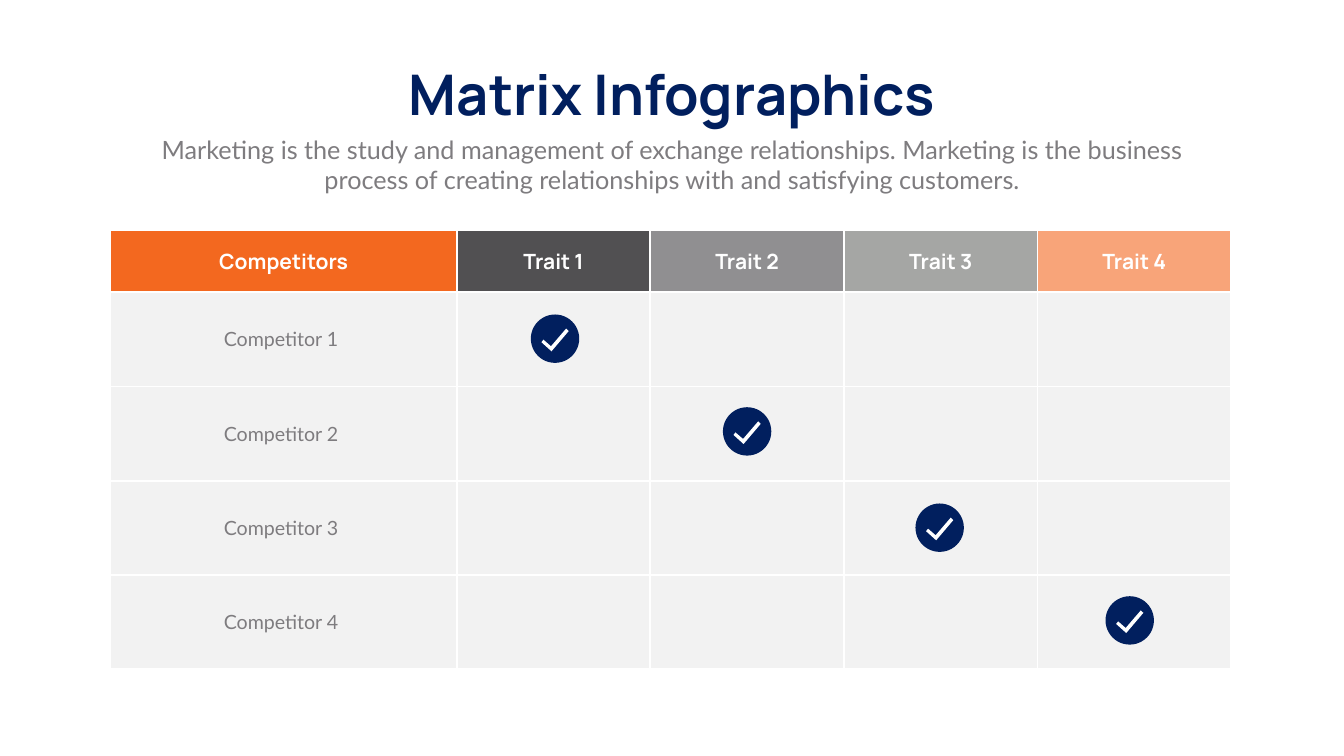
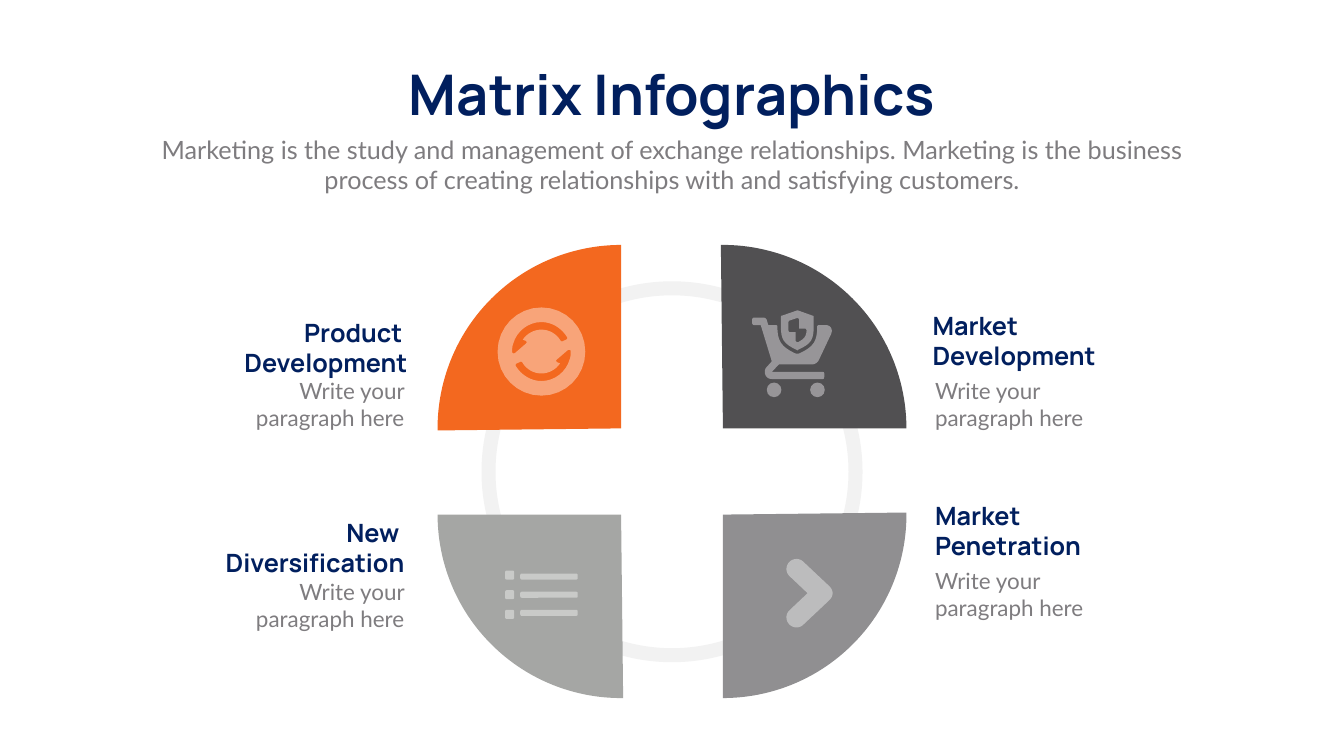
from itertools import product
from lxml.etree import SubElement
from pptx import Presentation
from pptx.dml.color import RGBColor
from pptx.enum.shapes import MSO_SHAPE
from pptx.enum.text import MSO_ANCHOR, MSO_AUTO_SIZE, PP_ALIGN
from pptx.oxml.ns import qn
from pptx.util import Inches, Pt

# Shared look
NAVY = RGBColor(0x01, 0x1F, 0x5E)
TEXT = RGBColor(0x7E, 0x7C, 0x7F)
WHITE = RGBColor(0xFF, 0xFF, 0xFF)
PALE = RGBColor(0xF2, 0xF2, 0xF2)
ORANGE = RGBColor(0xF3, 0x68, 0x1F)
PEACH = RGBColor(0xF8, 0xA4, 0x79)
DARK = RGBColor(0x51, 0x50, 0x52)
MID = RGBColor(0x90, 0x8F, 0x91)
LIGHT = RGBColor(0xA5, 0xA6, 0xA4)
CART = RGBColor(0x97, 0x95, 0x98)
LIST = RGBColor(0xC9, 0xCA, 0xC8)
ARROW = RGBColor(0xBC, 0xBC, 0xBD)
HEAD, BODY = "Manrope", "Lato"
LEFT, CENTER, RIGHT = PP_ALIGN.LEFT, PP_ALIGN.CENTER, PP_ALIGN.RIGHT

# Content
TITLE = "Matrix Infographics"
INTRO = ("Marketing is the study and management of exchange relationships. "
         "Marketing is the business process of creating relationships with "
         "and satisfying customers.")
TRAITS = [("Competitors", ORANGE), ("Trait 1", DARK), ("Trait 2", MID),
          ("Trait 3", LIGHT), ("Trait 4", PEACH)]
RIVALS = ["Competitor 1", "Competitor 2", "Competitor 3", "Competitor 4"]
CHECKS = [(10.53, 6.24), (14.34, 8.08), (18.16, 9.99), (21.93, 11.83)]
NOTE = "Write your paragraph here"
# Each part: heading lines, heading box, note left and top, alignment
PARTS = [
    (["Product ", "Development"], (4.51, 6.25, 3.67, 1.31), (4.48, 7.44), RIGHT),
    (["New ", "Diversification"], (4.23, 10.21, 3.89, 1.31), (4.48, 11.42), RIGHT),
    (["Market", "Development"], (18.4, 6.1, 3.67, 1.31), (18.45, 7.44), LEFT),
    (["Market", "Penetration"], (18.45, 9.88, 3.2, 1.31), (18.45, 11.21), LEFT),
]
# Each quarter: left, top, turn, colour
PIES = [(8.68, 4.86, 0, ORANGE), (10.7, 4.86, 90, DARK),
        (8.68, 6.57, 270, LIGHT), (10.7, 6.57, 180, MID)]
DISC = 7.28

# Icon outlines: M moves, L draws lines, C draws curves
TICK = "M .7 .28 L .75 .33 .41 .73 .21 .55 .25 .5 .4 .63"
ROUND = ("M 10.74 6.1 C 10.26 6.1 9.87 6.49 9.87 6.98 9.87 7.46 10.26 7.85 10.74 7.85 "
         "11.22 7.85 11.61 7.46 11.61 6.98 11.61 6.49 11.22 6.1 10.74 6.1")
TURN = ("M 10.22 7 C 10.21 7.01 10.2 7.01 10.19 7.01 10.17 7.01 10.16 7 10.16 6.98 "
        "10.16 6.93 10.16 6.89 10.17 6.85 L 10.18 6.82 "
        "C 10.25 6.57 10.48 6.39 10.74 6.39 10.95 6.39 11.14 6.51 11.25 6.69 "
        "11.26 6.71 11.25 6.73 11.23 6.74 L 11.16 6.77 "
        "C 11.15 6.78 11.13 6.77 11.12 6.76 11.04 6.62 10.89 6.54 10.74 6.54 "
        "10.59 6.54 10.45 6.62 10.37 6.74 L 10.42 6.76 "
        "C 10.43 6.76 10.44 6.77 10.45 6.79 10.45 6.8 10.44 6.81 10.43 6.82 L 10.22 7")
BASKET = ("M 16.38 6.45 L 16.25 6.45 C 16.23 6.45 16.21 6.46 16.21 6.48 "
          "16.21 6.77 16.14 6.88 15.86 7.01 15.83 7.02 15.8 7.02 15.77 7.01 "
          "15.5 6.88 15.42 6.77 15.42 6.48 15.42 6.46 15.41 6.45 15.39 6.45 "
          "L 15.24 6.45 15.21 6.35 C 15.2 6.32 15.17 6.3 15.14 6.3 L 14.96 6.3 "
          "C 14.94 6.3 14.92 6.32 14.92 6.34 L 14.92 6.41 "
          "C 14.92 6.43 14.94 6.45 14.96 6.45 L 15.09 6.45 15.31 7.17 15.21 7.28 "
          "C 15.17 7.32 15.16 7.38 15.18 7.43 15.2 7.49 15.25 7.52 15.31 7.52 "
          "L 16.32 7.52 C 16.34 7.52 16.35 7.5 16.35 7.48 L 16.35 7.41 "
          "C 16.35 7.39 16.34 7.38 16.32 7.38 L 15.31 7.38 15.45 7.23 16.11 7.23 "
          "C 16.16 7.23 16.21 7.2 16.24 7.15 L 16.49 6.62 "
          "C 16.49 6.61 16.5 6.59 16.5 6.57 L 16.5 6.56 "
          "C 16.5 6.5 16.45 6.45 16.38 6.45")
SHIELD = ("M 15.8 6.94 C 15.81 6.95 15.81 6.95 15.82 6.95 15.82 6.95 15.83 6.95 15.83 6.94 "
          "16.1 6.82 16.14 6.73 16.14 6.48 L 16.14 6.29 "
          "C 16.14 6.27 16.13 6.26 16.11 6.26 L 15.83 6.16 "
          "C 15.82 6.16 15.81 6.16 15.81 6.16 L 15.52 6.26 "
          "C 15.5 6.26 15.49 6.27 15.49 6.29 L 15.49 6.48 "
          "C 15.49 6.73 15.54 6.82 15.8 6.94 "
          "M 15.64 6.39 C 15.64 6.38 15.65 6.36 15.66 6.36 L 15.81 6.31 "
          "C 15.82 6.31 15.83 6.31 15.84 6.32 15.85 6.33 15.85 6.34 15.85 6.35 "
          "L 15.85 6.52 15.96 6.52 C 15.97 6.52 15.98 6.52 15.99 6.53 "
          "15.99 6.54 16 6.55 16 6.56 15.99 6.67 15.96 6.72 15.83 6.79 "
          "15.83 6.79 15.82 6.79 15.82 6.79 15.81 6.79 15.8 6.79 15.8 6.78 "
          "15.79 6.78 15.78 6.77 15.78 6.75 L 15.78 6.59 15.67 6.59 "
          "C 15.65 6.59 15.64 6.57 15.64 6.55 L 15.64 6.39")
NEXT = ("M 16.02 11.77 L 15.66 12.11 C 15.62 12.15 15.6 12.2 15.6 12.25 "
        "15.6 12.36 15.69 12.45 15.8 12.45 15.85 12.45 15.9 12.43 15.94 12.39 "
        "L 16.45 11.91 C 16.48 11.88 16.5 11.85 16.51 11.81 "
        "16.52 11.78 16.52 11.76 16.51 11.73 16.5 11.69 16.48 11.66 16.45 11.63 "
        "L 15.94 11.15 C 15.9 11.11 15.85 11.09 15.8 11.09 "
        "15.69 11.09 15.6 11.18 15.6 11.29 15.6 11.34 15.62 11.39 15.66 11.43")


def style(para, size, font, color, bold=False, align=CENTER):
    para.alignment = align
    for run in para.runs:
        face = run.font
        face.size, face.name, face.bold = Pt(size), font, bold
        face.color.rgb = color


def label(slide, box, lines, size, font, color, bold=False, align=CENTER, wrap=True):
    frame = slide.shapes.add_textbox(*map(Inches, box)).text_frame
    frame.text = "\n".join(lines)
    frame.word_wrap = wrap
    frame.auto_size = MSO_AUTO_SIZE.SHAPE_TO_FIT_TEXT
    for para in frame.paragraphs:
        style(para, size, font, color, bold, align)


def paint(shape, color):
    shape.shadow.inherit = False
    shape.fill.solid()
    shape.fill.fore_color.rgb = color
    shape.line.fill.background()
    return shape


def preset(slide, kind, box, color):
    return paint(slide.shapes.add_shape(kind, *map(Inches, box)), color)


def trace(text):
    """Turn an outline into lists of points, one list per contour."""
    loops, nums, mode = [], [], "M"
    for word in text.split():
        if word in "MLC":
            mode = word
            continue
        nums.append(float(word))
        if len(nums) < (6 if mode == "C" else 2):
            continue
        if mode == "M":
            loops.append([tuple(nums)])
        elif mode == "L":
            loops[-1].append(tuple(nums))
        else:
            start = loops[-1][-1]
            for t in (k / 8 for k in range(1, 9)):
                u = 1 - t
                loops[-1].append(tuple(
                    u**3 * start[i] + 3 * u * u * t * nums[i]
                    + 3 * u * t * t * nums[i + 2] + t**3 * nums[i + 4]
                    for i in (0, 1)))
        nums = []
    return loops


def outline(slide, loops, color, dx=0, dy=0):
    pen = None
    for loop in loops:
        pts = [(Inches(x + dx), Inches(y + dy)) for x, y in loop]
        if pen is None:
            pen = slide.shapes.build_freeform(*pts[0])
        else:
            pen.move_to(*pts[0])
        pen.add_line_segments(pts[1:], close=True)
    paint(pen.convert_to_shape(), color)


def start(deck):
    slide = deck.slides.add_slide(deck.slide_layouts[6])
    label(slide, (7.57, 1.14, 11.53, 1.45), [TITLE], 80, HEAD, NAVY, True, wrap=False)
    label(slide, (2.92, 2.61, 20.82, 1.31), [INTRO], 36, BODY, TEXT)
    return slide


def border(cell):
    props = cell._tc.get_or_add_tcPr()
    for i, side in enumerate(("lnL", "lnR", "lnT", "lnB")):
        line = SubElement(props, qn("a:" + side), w=str(Pt(3)))
        fill = SubElement(line, qn("a:solidFill"))
        SubElement(fill, qn("a:srgbClr"), val=str(WHITE))
        props.insert(i, line)


def matrix(slide):
    frame = slide.shapes.add_table(5, 5, *map(Inches, (2.19, 4.56, 22.23, 8.72)))
    table = frame.table
    table.first_row = table.horz_banding = False
    for i in range(5):
        table.columns[i].width = Inches(3.84 if i else 6.87)
        table.rows[i].height = Inches(1.87 if i else 1.24)
    for row, col in product(range(5), repeat=2):
        cell = table.cell(row, col)
        cell.vertical_anchor = MSO_ANCHOR.MIDDLE
        cell.fill.solid()
        cell.fill.fore_color.rgb = PALE if row else TRAITS[col][1]
        border(cell)
        if row and col:
            continue
        pads = (0, .05, .1, .05) if row else (.14, .07, .14, .07)
        (cell.margin_left, cell.margin_top,
         cell.margin_right, cell.margin_bottom) = map(Inches, pads)
        cell.text_frame.text = RIVALS[row - 1] if row else TRAITS[col][0]
        look = (28, BODY, TEXT) if row else (30, HEAD, WHITE, True)
        style(cell.text_frame.paragraphs[0], *look)
    # Check marks
    for x, y in CHECKS:
        preset(slide, MSO_SHAPE.OVAL, (x, y, .96, .96), NAVY)
        outline(slide, trace(TICK), WHITE, x, y)


def wheel(slide):
    # Ring and quarters
    ring = preset(slide, MSO_SHAPE.OVAL, (9.69, 5.72, DISC, DISC), WHITE)
    ring.line.color.rgb = PALE
    ring.line.width = Pt(20)
    for x, y, turn, color in PIES:
        pie = preset(slide, MSO_SHAPE.PIE, (x, y, DISC, DISC), color)
        pie.adjustments[0], pie.adjustments[1] = 107.614, 162
        pie.rotation = turn
    # Texts
    for lines, box, spot, align in PARTS:
        label(slide, (*spot, 3.64, 1.18), [NOTE], 32, BODY, TEXT, align=align)
        label(slide, box, lines, 36, HEAD, NAVY, True, align, wrap=False)
    # Refresh icon: the second arrow is the first one turned half round
    arrow = trace(TURN)[0]
    back = [(21.48 - x, 13.95 - y) for x, y in arrow]
    outline(slide, trace(ROUND) + [arrow, back], PEACH)
    # Cart icon
    outline(slide, trace(BASKET), CART)
    for x in (15.21, 16.07):
        preset(slide, MSO_SHAPE.OVAL, (x, 7.59, .29, .29), CART)
    outline(slide, trace(SHIELD), CART)
    # List icon
    for i in range(3):
        dot = (10.02, 11.32 + .39 * i, .18, .18)
        bar = (10.32, 11.38 + .36 * i, 1.14, .12)
        for box in (dot, bar):
            part = preset(slide, MSO_SHAPE.ROUNDED_RECTANGLE, box, LIST)
            part.adjustments[0] = .03 / box[3]
    # Arrow icon
    outline(slide, trace(NEXT), ARROW)


def main():
    deck = Presentation()
    deck.slide_width, deck.slide_height = Inches(26.66), Inches(15)
    matrix(start(deck))
    wheel(start(deck))
    deck.save("out.pptx")


if __name__ == "__main__":
    main()
